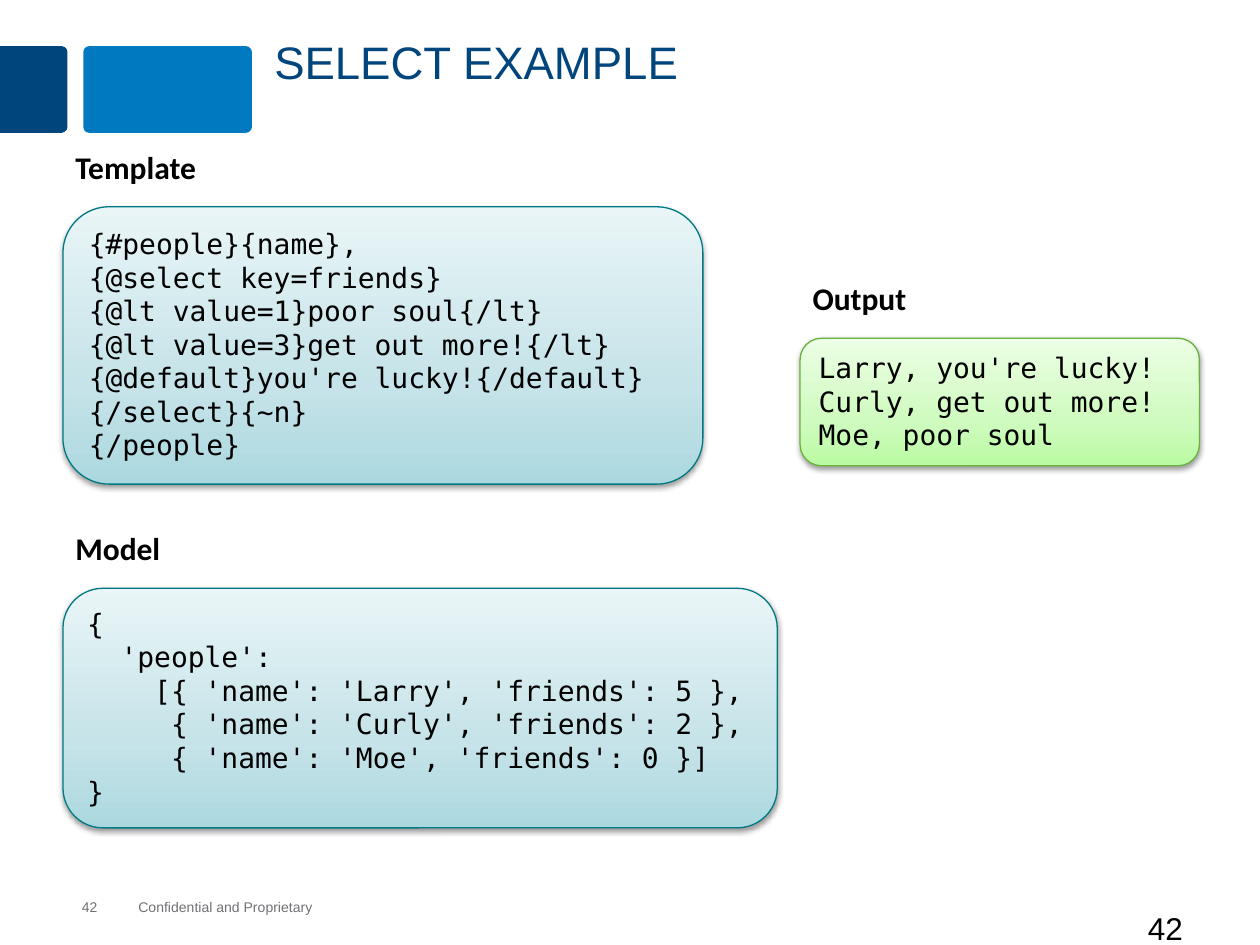
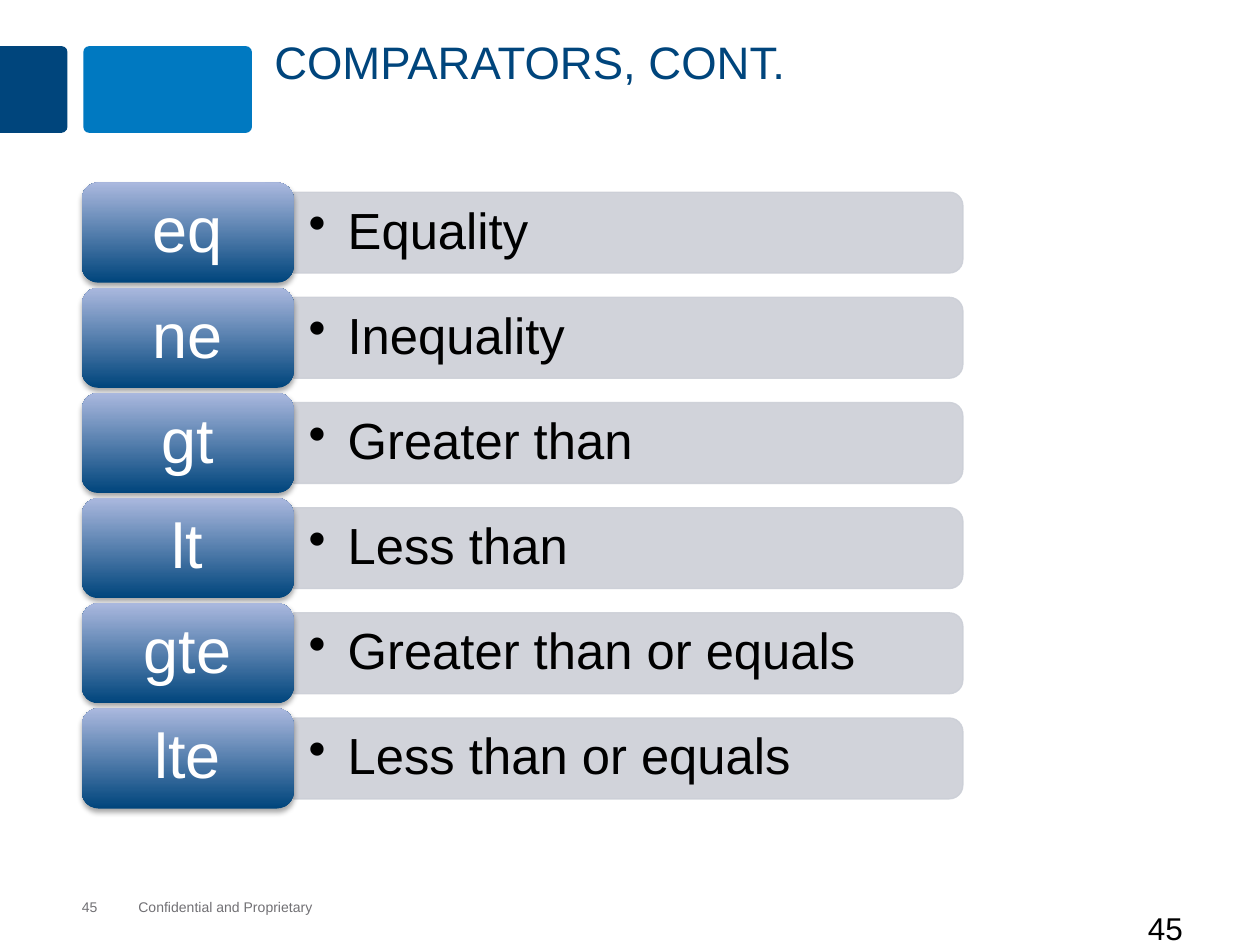
from lxml.etree import SubElement
from pptx import Presentation
from pptx.dml.color import RGBColor
from pptx.enum.shapes import MSO_SHAPE as Preset
from pptx.enum.text import MSO_ANCHOR as Anchor, PP_ALIGN as Align
from pptx.oxml import parse_xml
from pptx.oxml.ns import nsdecls, qn
from pptx.util import Cm, Pt

NAVY, BLUE, GREY, BLACK, WHITE = "00457C", "0079C1", "717074", "000000", "FFFFFF"
BAR_GREY = "CCCFD7"
TEAL_STOPS = [(0, "ABD8DF"), (35, "C5E3E8"), (100, "E9F5F7")]
GREEN_STOPS = [(0, "BAFBA3"), (35, "CFFBBF"), (100, "ECFEE5")]
TILE_STOPS = [(0, NAVY), (100, "AAB8DE")]
TEAL_EDGE, GREEN_EDGE = "007982", "6AB23B"
FOOTER = "Confidential and Proprietary"

SELECT_PANELS = [
    ("Template", (1.27, 4.17, 12.9, 5.59), TEAL_STOPS, TEAL_EDGE, [
        "{#people}{name},",
        "{@select key=friends}",
        "{@lt value=1}poor soul{/lt}",
        "{@lt value=3}get out more!{/lt}",
        "{@default}you're lucky!{/default}",
        "{/select}{~n}",
        "{/people}",
    ]),
    ("Model", (1.27, 11.86, 14.4, 4.83), TEAL_STOPS, TEAL_EDGE, [
        "{",
        "  'people':",
        "    [{ 'name': 'Larry', 'friends': 5 },",
        "     { 'name': 'Curly', 'friends': 2 },",
        "     { 'name': 'Moe', 'friends': 0 }]",
        "}",
    ]),
    ("Output", (16.13, 6.82, 8.05, 2.57), GREEN_STOPS, GREEN_EDGE, [
        "Larry, you're lucky!",
        "Curly, get out more!",
        "Moe, poor soul",
    ]),
]
COMPARATORS = [
    ("eq", "Equality"),
    ("ne", "Inequality"),
    ("gt", "Greater than"),
    ("lt", "Less than"),
    ("gte", "Greater than or equals"),
    ("lte", "Less than or equals"),
]

LABEL_RISE, LABEL_HEIGHT = 1.32, 1.28
TILE_LEFT, TILE_TOP, TILE_WIDTH, TILE_HEIGHT, TILE_PITCH = 1.65, 3.68, 4.27, 2.02, 2.12
BAR_WIDTH, BAR_HEIGHT = 13.49, 1.63


def color(value):
    return RGBColor.from_string(value)


def write(shape, lines, size, ink, font="Arial", bold=None, align=Align.LEFT,
          anchor=Anchor.TOP, spacing=None, insets=None, wrap=True, bullet=False):
    frame = shape.text_frame
    frame.word_wrap, frame.vertical_anchor = wrap, anchor
    if insets:
        frame.margin_left = frame.margin_right = Cm(insets[0])
        frame.margin_top = frame.margin_bottom = Cm(insets[1])
    for index, line in enumerate(lines):
        paragraph = frame.add_paragraph() if index else frame.paragraphs[0]
        if bullet:
            props = paragraph._p.get_or_add_pPr()
            props.set("marL", str(Cm(0.79)))
            props.set("indent", str(Cm(-0.79)))
            SubElement(props, qn("a:buChar"), char="•")
        paragraph.alignment = align
        if spacing:
            paragraph.line_spacing = spacing
        run = paragraph.add_run()
        run.text = line
        run.font.name, run.font.size, run.font.bold = font, Pt(size), bold
        run.font.color.rgb = color(ink)


def text_box(slide, box, line, size, ink, **style):
    write(slide.shapes.add_textbox(*map(Cm, box)), [line], size, ink, **style)


def add_preset(slide, preset, box, fill=None, edge=None):
    shape = slide.shapes.add_shape(preset, *map(Cm, box))
    shape.shadow.inherit = False
    if fill:
        shape.fill.solid()
        shape.fill.fore_color.rgb = color(fill)
    if edge:
        shape.line.color.rgb = color(edge)
        shape.line.width = Pt(0.75)
    else:
        shape.line.fill.background()
    return shape


def side_tab(slide, box, fill, edge=None):
    left, top, width, height = box
    turned = (left + (width - height) / 2, top + (height - width) / 2, height, width)
    tab = add_preset(slide, Preset.ROUND_2_SAME_RECTANGLE, turned, fill, edge)
    tab.rotation = 90
    return tab


def glossy_box(slide, box, stops, edge=None, opacity=38, distance=1.6):
    shape = add_preset(slide, Preset.ROUNDED_RECTANGLE, box, edge=edge)
    marks = "".join(f'<a:gs pos="{place * 1000}"><a:srgbClr val="{tone}"/></a:gs>'
                    for place, tone in stops)
    props = shape._element.spPr
    props.find(qn("a:prstGeom")).addnext(parse_xml(
        f'<a:gradFill {nsdecls("a")} rotWithShape="1"><a:gsLst>{marks}</a:gsLst>'
        '<a:lin ang="16200000" scaled="0"/></a:gradFill>'))
    props.find(qn("a:effectLst")).append(parse_xml(
        f'<a:outerShdw {nsdecls("a")} blurRad="{Pt(3.1)}" dist="{Pt(distance)}" '
        f'dir="5400000" rotWithShape="0"><a:srgbClr val="{BLACK}">'
        f'<a:alpha val="{opacity * 1000}"/></a:srgbClr></a:outerShdw>'))
    return shape


def start_slide(deck, title, number):
    slide = deck.slides.add_slide(deck.slide_layouts[6])
    navy_tab = side_tab(slide, (0, 0.93, 1.36, 1.75), NAVY)
    navy_tab.adjustments[0] = 0.09
    blue_block = add_preset(slide, Preset.ROUNDED_RECTANGLE, (1.68, 0.93, 3.4, 1.75), BLUE)
    blue_block.adjustments[0] = 0.07
    for left, width, words in ((2.79, 3.56, FOOTER), (1.65, 1.1, number)):
        text_box(slide, (left, 18.11, width, 0.33), words, 8, GREY,
                 anchor=Anchor.MIDDLE, insets=(0, 0), wrap=words != FOOTER)
    text_box(slide, (5.28, 0.64, 19.48, 2.31), title, 26, NAVY, spacing=0.95)
    text_box(slide, (22.89, 18.21, 2.51, 0.83), number, 18, BLACK)
    return slide


def add_panel(slide, label, box, stops, edge, code):
    left, top, width, _ = box
    write(glossy_box(slide, box, stops, edge), code, 16, BLACK, font="DejaVu Sans Mono")
    text_box(slide, (left, top - LABEL_RISE, width, LABEL_HEIGHT), label, 18, BLACK,
             font="Calibri", bold=True)


def add_comparator(slide, row, keyword, meaning):
    top = TILE_TOP + row * TILE_PITCH
    bar_box = (TILE_LEFT + TILE_WIDTH, top + (TILE_HEIGHT - BAR_HEIGHT) / 2,
               BAR_WIDTH, BAR_HEIGHT)
    bar = side_tab(slide, bar_box, BAR_GREY, BAR_GREY)
    for tone in bar._element.spPr.iter(qn("a:srgbClr")):
        SubElement(tone, qn("a:alpha"), val="90000")
    text_box(slide, bar_box, meaning, 29, BLACK, anchor=Anchor.MIDDLE,
             spacing=0.9, insets=(0.3, 0.15), bullet=True)
    tile = glossy_box(slide, (TILE_LEFT, top, TILE_WIDTH, TILE_HEIGHT), TILE_STOPS,
                      opacity=35, distance=1.8)
    write(tile, [keyword], 36, WHITE, align=Align.CENTER, anchor=Anchor.MIDDLE,
          spacing=0.9, insets=(0.38, 0.18))


def main():
    deck = Presentation()
    deck.slide_width, deck.slide_height = Cm(25.4), Cm(19.05)
    select_slide = start_slide(deck, "SELECT EXAMPLE", "42")
    for panel in SELECT_PANELS:
        add_panel(select_slide, *panel)
    comparator_slide = start_slide(deck, "COMPARATORS, CONT.", "45")
    for row, (keyword, meaning) in enumerate(COMPARATORS):
        add_comparator(comparator_slide, row, keyword, meaning)
    deck.save("out.pptx")


if __name__ == "__main__":
    main()
